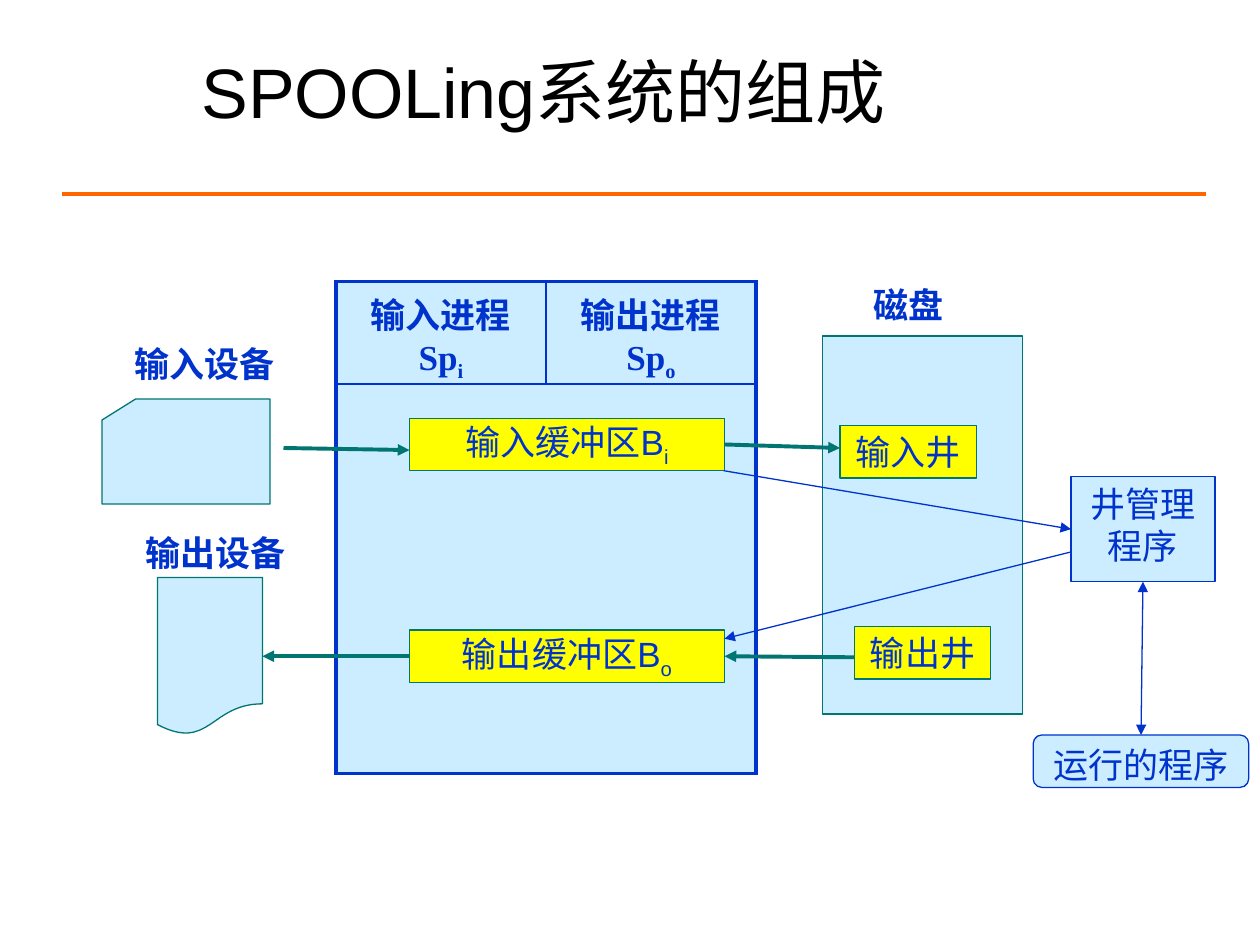
import pptx
import pptx.util
import pptx.dml.color
import pptx.enum.shapes
import pptx.enum.text
import pptx.oxml.ns
import lxml.etree
from dataclasses import dataclass

Pt = pptx.util.Pt
SHAPE = pptx.enum.shapes.MSO_SHAPE
ALIGN = pptx.enum.text.PP_ALIGN
ANCHOR = pptx.enum.text.MSO_ANCHOR
TOP, LEFT, BOTTOM, RIGHT = range(4)


@dataclass(frozen=True)
class Theme:
    black: str = "000000"
    blue: str = "0033CC"
    teal: str = "007572"
    orange: str = "FF6600"
    pale: str = "CCECFF"
    yellow: str = "FFFF00"
    sans: str = "Arial"
    serif: str = "Times New Roman"
    title_size: float = 40
    body_size: float = 20
    thin: float = 0.75
    medium: float = 1
    thick: float = 2.25


THEME = Theme()


def rgb(value):
    return pptx.dml.color.RGBColor.from_string(value)


def add_xml(parent, tag, **attributes):
    return lxml.etree.SubElement(parent, pptx.oxml.ns.qn(tag), **attributes)


def write_text(frame, text, subscript="", font=THEME.sans, size=THEME.body_size,
               color=THEME.blue, bold=False, align=ALIGN.CENTER,
               anchor=ANCHOR.TOP, wrap=True, before=0):
    """Fill a text frame with one paragraph and an optional subscript."""
    frame.word_wrap = wrap
    frame.vertical_anchor = anchor
    paragraph = frame.paragraphs[0]
    paragraph.alignment = align
    paragraph.space_before = Pt(before)
    for part, baseline in ((text, None), (subscript, "-25000")):
        if not part:
            continue
        run = paragraph.add_run()
        run.text = part
        run.font.name, run.font.size, run.font.bold = font, Pt(size), bold
        run.font.color.rgb = rgb(color)
        if baseline:
            run._r.get_or_add_rPr().set("baseline", baseline)


class Diagram:
    def __init__(self, slide, theme):
        self.slide, self.theme = slide, theme

    def label(self, text, left, top, width, height, **fmt):
        box = self.slide.shapes.add_textbox(Pt(left), Pt(top), Pt(width), Pt(height))
        write_text(box.text_frame, text, **fmt)

    def box(self, kind, left, top, width, height, fill, line, text="", **fmt):
        shape = self.slide.shapes.add_shape(
            kind, Pt(left), Pt(top), Pt(width), Pt(height))
        shape.shadow.inherit = False
        shape.fill.solid()
        shape.fill.fore_color.rgb = rgb(fill)
        shape.line.color.rgb = rgb(line)
        shape.line.width = Pt(self.theme.thin)
        if text:
            write_text(shape.text_frame, text, **fmt)
        return shape

    def line(self, start, end, color, width, heads=()):
        """Each end is a point (x, y) or a joint (shape, side)."""
        joints = [not isinstance(place[0], (int, float)) for place in (start, end)]
        points = [(0, 0) if joint else place
                  for joint, place in zip(joints, (start, end))]
        connector = self.slide.shapes.add_connector(
            pptx.enum.shapes.MSO_CONNECTOR.STRAIGHT,
            *(Pt(value) for point in points for value in point))
        if joints[0]:
            connector.begin_connect(*start)
        if joints[1]:
            connector.end_connect(*end)
        connector.line.color.rgb = rgb(color)
        connector.line.width = Pt(width)
        outline = connector.line._get_or_add_ln()
        for head in heads:
            add_xml(outline, "a:" + head, type="triangle")
        add_xml(connector._element.spPr, "a:effectLst")

    def table(self, left, top, widths, heights):
        table = self.slide.shapes.add_table(
            len(heights), len(widths), Pt(left), Pt(top),
            Pt(sum(widths)), Pt(sum(heights))).table
        table.first_row = table.horz_banding = False
        for column, width in zip(table.columns, widths):
            column.width = Pt(width)
        for row, height in zip(table.rows, heights):
            row.height = Pt(height)
        return table

    def cell(self, cell, outer_sides):
        """Pale cell with thick borders on the outer sides."""
        cell.fill.solid()
        cell.fill.fore_color.rgb = rgb(self.theme.pale)
        properties = cell._tc.get_or_add_tcPr()
        for position, side in enumerate("LRTB"):
            width = self.theme.thick if side in outer_sides else self.theme.medium
            border = add_xml(properties, "a:ln" + side, w=str(Pt(width)))
            add_xml(add_xml(border, "a:solidFill"), "a:srgbClr", val=self.theme.blue)
            properties.insert(position, border)


def main():
    deck = pptx.Presentation()
    deck.slide_width, deck.slide_height = Pt(720), Pt(540)
    theme = THEME
    diagram = Diagram(deck.slides.add_slide(deck.slide_layouts[6]), theme)

    # Title and rule
    diagram.line((35.3, 110.9), (689, 110.9), theme.orange, theme.thick)
    diagram.label("SPOOLing系统的组成", 108, 18, 516, 67.7, size=theme.title_size,
                  color=theme.black, align=ALIGN.LEFT, anchor=ANCHOR.MIDDLE)

    # Devices
    diagram.box(SHAPE.FLOWCHART_CARD, 58.3, 228, 96, 60, theme.pale, theme.teal)
    output_device = diagram.box(SHAPE.FLOWCHART_DOCUMENT, 90, 330, 60, 90,
                                theme.pale, theme.teal)

    # Memory: the two processes above the buffer area
    memory = diagram.table(192, 161, (120, 120), (55.4, 222.5))
    memory.cell(1, 0).merge(memory.cell(1, 1))
    for row, column, sides in ((0, 0, "LT"), (0, 1, "RT"), (1, 0, "LRB"), (1, 1, "LRB")):
        diagram.cell(memory.cell(row, column), sides)
    for column, (name, letter) in enumerate((("输入进程Sp", "i"), ("输出进程Sp", "o"))):
        process = memory.cell(0, column)
        process.vertical_anchor = ANCHOR.MIDDLE
        write_text(process.text_frame, name, letter, font=theme.serif, bold=True,
                   anchor=ANCHOR.MIDDLE, before=4)

    # Disk with its wells, and the buffers
    diagram.box(SHAPE.RECTANGLE, 470.2, 192, 114, 216, theme.pale, theme.teal)
    _, output_well, input_buffer, output_buffer = [
        diagram.box(SHAPE.RECTANGLE, left, top, width, 30, theme.yellow, theme.teal,
                    text, subscript=letter, anchor=ANCHOR.MIDDLE, wrap=False)
        for text, letter, left, top, width in (
            ("输入井", "", 480, 243.2, 78),
            ("输出井", "", 488.2, 358, 78),
            ("输入缓冲区B", "i", 234, 239, 180),
            ("输出缓冲区B", "o", 234, 360, 180))]

    # Headings
    for text, left, top in (("输入设备", 60, 192), ("输出设备", 66, 300),
                            ("磁盘", 462, 158.4)):
        diagram.label(text, left, top, 114, 31, bold=True)

    # Well manager and running program
    manager = diagram.box(SHAPE.RECTANGLE, 612, 272.4, 82.3, 60, theme.pale,
                          theme.blue, "井管理程序")
    program = diagram.box(SHAPE.ROUNDED_RECTANGLE, 590.4, 420, 123.2, 30, theme.pale,
                          theme.blue, "运行的程序")

    # Data flow
    for start, end in (((162, 256), (234, 257.2)),
                       ((input_buffer, RIGHT), (480, 256)),
                       ((output_buffer, LEFT), (output_device, RIGHT)),
                       ((488.2, 375.6), (output_buffer, RIGHT))):
        diagram.line(start, end, theme.teal, theme.thick, ["tailEnd"])

    # Control flow
    for start, end, heads in (
            ((413.6, 269), (manager, LEFT), ["tailEnd"]),
            ((612, 315.4), (414, 365), ["tailEnd"]),
            ((manager, BOTTOM), (program, TOP), ["headEnd", "tailEnd"])):
        diagram.line(start, end, theme.blue, theme.thin, heads)

    deck.save("out.pptx")


if __name__ == "__main__":
    main()
